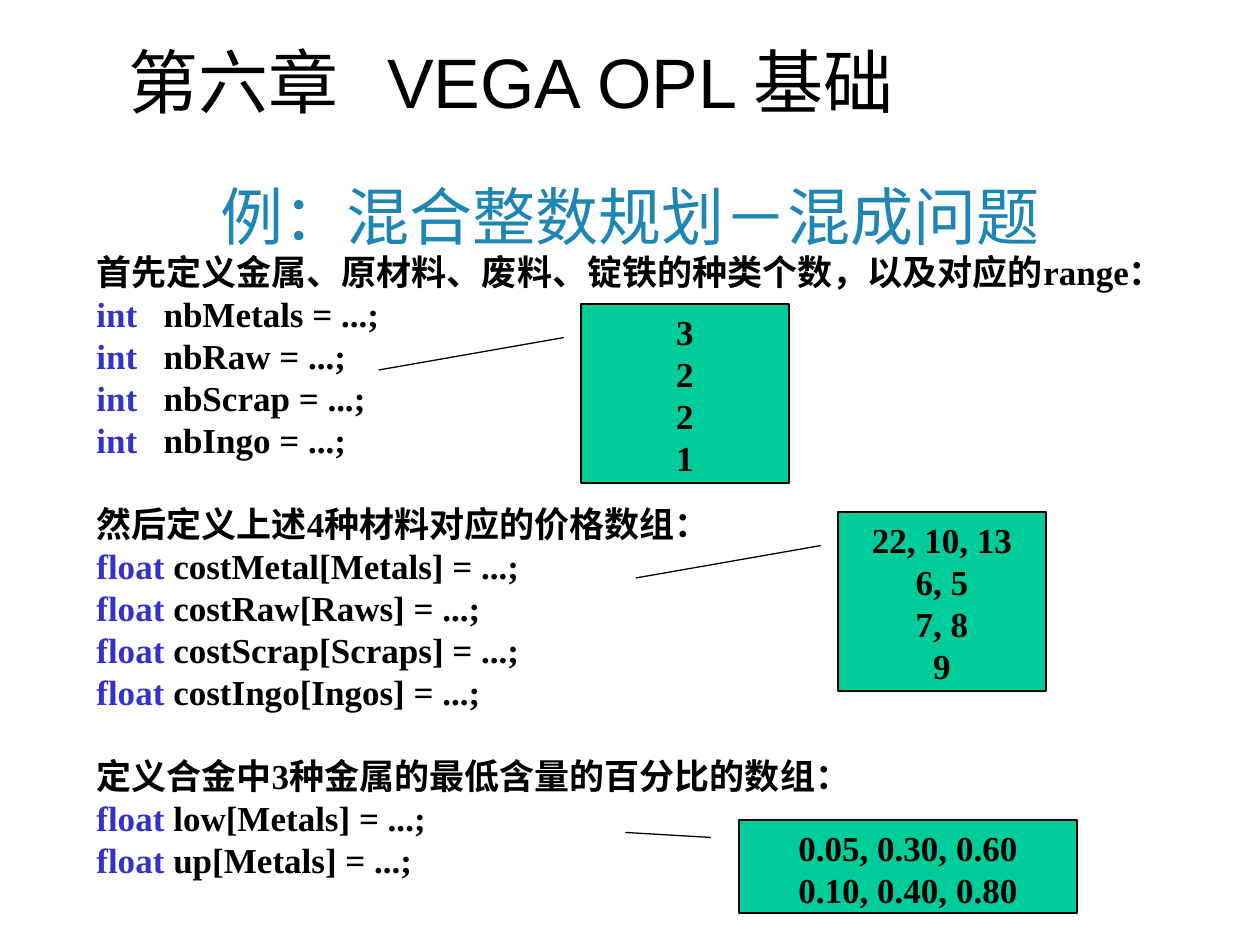
from pptx import Presentation
from pptx.dml.color import RGBColor
from pptx.enum.shapes import MSO_SHAPE
from pptx.enum.text import MSO_ANCHOR, PP_ALIGN
from pptx.oxml.ns import qn
from pptx.util import Emu, Pt
from lxml.etree import SubElement

BLACK = RGBColor(0x00, 0x00, 0x00)
TITLE_BLUE = RGBColor(0x1E, 0x86, 0xB4)
KEYWORD_BLUE = RGBColor(0x33, 0x33, 0xCC)
CALLOUT_GREEN = RGBColor(0x00, 0xCC, 0x99)

CHAPTER = "第六章\tVEGA OPL 基础"
EXAMPLE = "例：混合整数规划－混成问题"
SECTIONS = [
    ("首先定义金属、原材料、废料、锭铁的种类个数，以及对应的range：", "int",
     ["   nbMetals = ...;", "   nbRaw = ...;",
      "   nbScrap = ...;", "   nbIngo = ...;"]),
    ("然后定义上述4种材料对应的价格数组：", "float",
     [" costMetal[Metals] = ...;", " costRaw[Raws] = ...;",
      " costScrap[Scraps] = ...;", " costIngo[Ingos] = ...;"]),
    ("定义合金中3种金属的最低含量的百分比的数组：", "float",
     [" low[Metals] = ...;", " up[Metals] = ...;"]),
]
CALLOUTS = [
    (["3", "2", "2", "1"], (581, 304, 208, 179), (0.369, -0.972)),
    (["22, 10, 13", "6, 5", "7, 8", "9"], (838, 512, 208, 179), (0.369, -0.972)),
    (["0.05, 0.30, 0.60", "0.10, 0.40, 0.80"], (739, 820, 338, 93), (0.134, -0.336)),
]
CHAPTER_BOX = (116, 32, 1010, 97)
EXAMPLE_BOX = (94, 136, 1072, 158)
CODE_BOX = (84, 244, 1152, 643)
POINTER_START = (0.188, -0.083)
HANGING = 63
CHAPTER_TAB = 259
LINE_HEIGHT = Pt(24)


def px(length):
    return Emu(round(length * 914400 / 126))


def style(font, name, size, color, bold=False):
    font.name, font.size, font.bold = name, Pt(size), bold
    font.color.rgb = color


def add_line(frame, parts, first):
    line = frame.paragraphs[0] if first else frame.add_paragraph()
    line.line_spacing = LINE_HEIGHT
    for text, color in parts:
        run = line.add_run()
        run.text = text
        style(run.font, "Times New Roman", 20, color, bold=True)
    return line


prs = Presentation()
prs.slide_width, prs.slide_height = px(1260), px(945)
slide = prs.slides.add_slide(prs.slide_layouts[5])

chapter = slide.shapes.add_textbox(*map(px, CHAPTER_BOX)).text_frame
chapter.word_wrap = True
chapter.text = CHAPTER
tabs = SubElement(chapter.paragraphs[0]._p.get_or_add_pPr(), qn("a:tabLst"))
SubElement(tabs, qn("a:tab"), pos=str(px(CHAPTER_TAB)), algn="l")
for run in chapter.paragraphs[0].runs:
    style(run.font, "Arial", 40, BLACK)

example = slide.shapes.title
example.left, example.top, example.width, example.height = map(px, EXAMPLE_BOX)
example.text_frame.text = EXAMPLE
example.text_frame.vertical_anchor = MSO_ANCHOR.MIDDLE
example.text_frame.paragraphs[0].alignment = PP_ALIGN.CENTER
style(example.text_frame.paragraphs[0].runs[0].font, "Arial", 36, TITLE_BLUE)

code = slide.shapes.add_textbox(*map(px, CODE_BOX)).text_frame
code.word_wrap = True
for index, (heading, keyword, declarations) in enumerate(SECTIONS):
    lines = [add_line(code, [(heading, BLACK)], first=index == 0)]
    if index:
        lines[0].space_before = LINE_HEIGHT
    for declaration in declarations:
        parts = [(keyword, KEYWORD_BLUE), (declaration, BLACK)]
        lines.append(add_line(code, parts, first=False))
    for line in lines:
        properties = line._p.get_or_add_pPr()
        properties.set("marL", str(px(HANGING)))
        properties.set("indent", str(-px(HANGING)))

for values, box, pointer_end in CALLOUTS:
    callout = slide.shapes.add_shape(MSO_SHAPE.LINE_CALLOUT_1, *map(px, box))
    for index, value in enumerate(POINTER_START + pointer_end):
        callout.adjustments[index] = value
    callout.shadow.inherit = False
    callout.fill.solid()
    callout.fill.fore_color.rgb = CALLOUT_GREEN
    callout.line.color.rgb = BLACK
    callout.line.width = Pt(0.75)
    callout.text_frame.vertical_anchor = MSO_ANCHOR.TOP
    for index, value in enumerate(values):
        line = add_line(callout.text_frame, [(value, BLACK)], first=index == 0)
        line.alignment = PP_ALIGN.CENTER

prs.save("out.pptx")
